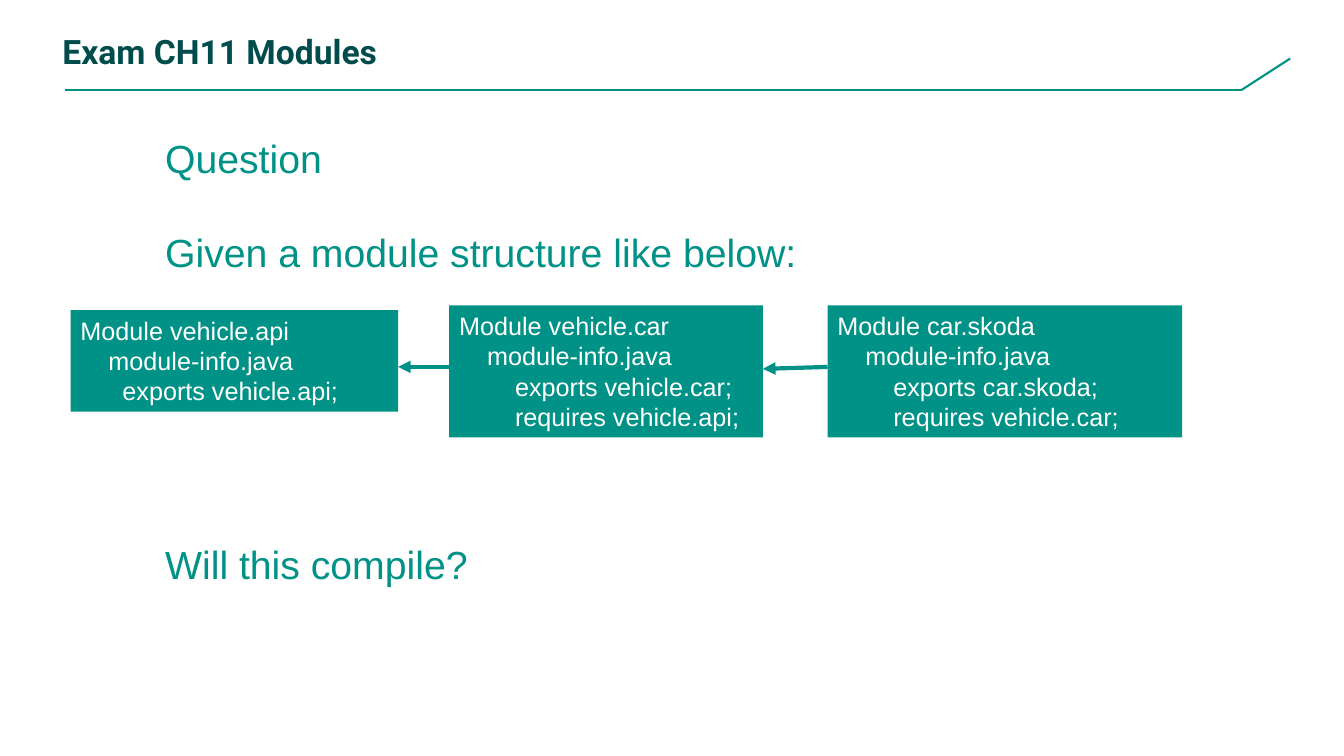
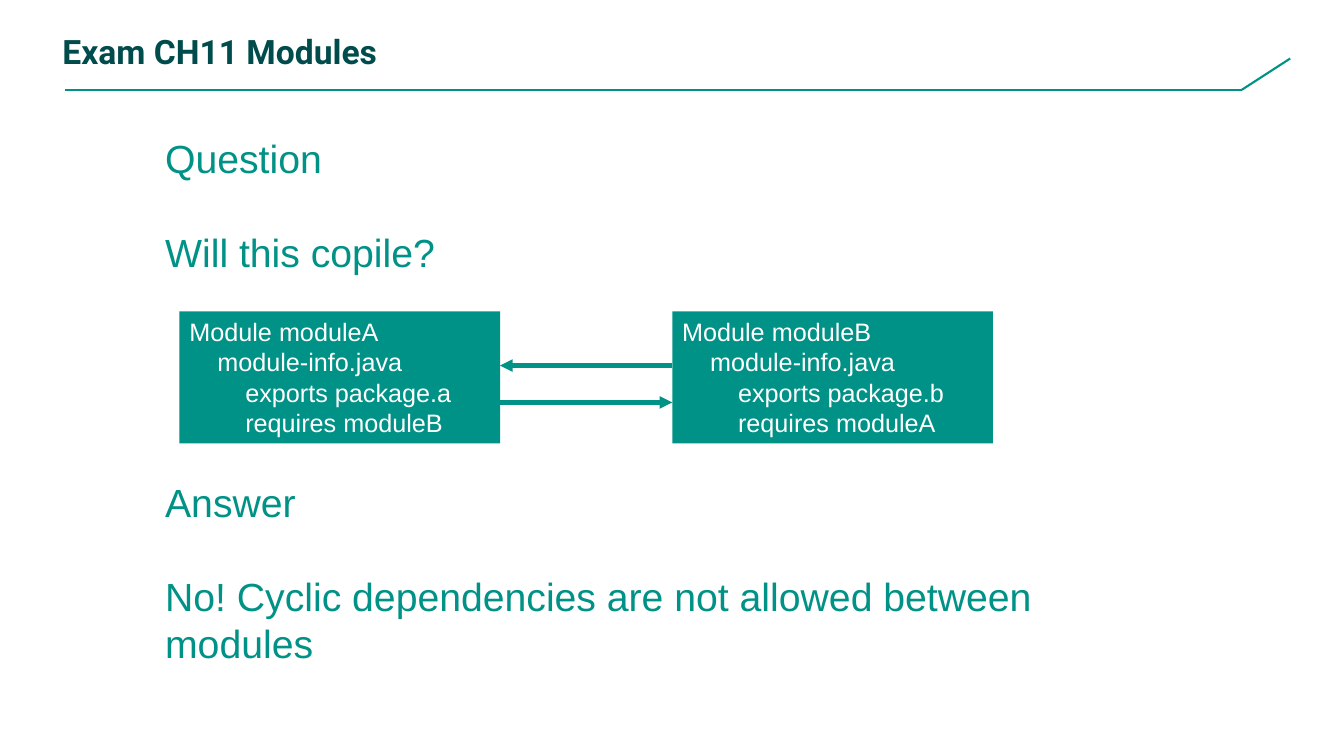
from dataclasses import dataclass
from lxml.etree import SubElement
from pptx import Presentation
from pptx.dml.color import RGBColor
from pptx.enum.shapes import MSO_CONNECTOR, MSO_SHAPE
from pptx.enum.text import MSO_ANCHOR, PP_ALIGN
from pptx.oxml.ns import qn
from pptx.util import Pt


@dataclass(frozen=True)
class Style:
    font: dict
    color: RGBColor
    pitch: float
    gap: float = 0


class Theme:
    teal = RGBColor.from_string("009286")
    dark = RGBColor.from_string("004C4C")
    white = RGBColor.from_string("FFFFFF")
    title = Style({"name": "Roboto", "size": Pt(24), "bold": True}, dark, 18.8)
    body = Style({"name": "Arial", "size": Pt(28), "bold": False}, teal, 33.6, 33.6)
    code = Style({"name": "Arial", "size": Pt(18), "bold": False}, white, 21.6)
    rule = 1.5
    arrow = 3
    pad = 7.2


def write(shape, lines, style, anchor=MSO_ANCHOR.TOP):
    frame = shape.text_frame
    frame.word_wrap = True
    frame.vertical_anchor = anchor
    for i, line in enumerate(lines):
        para = frame.paragraphs[0] if i == 0 else frame.add_paragraph()
        form = {
            "alignment": PP_ALIGN.LEFT,
            "line_spacing": Pt(style.pitch),
            "space_before": Pt(style.gap if i else 0),
        }
        for key, value in form.items():
            setattr(para, key, value)
        run = para.add_run()
        run.text = line
        for key, value in style.font.items():
            setattr(run.font, key, value)
        run.font.color.rgb = style.color


def add_text(slide, box, lines, style, anchor=MSO_ANCHOR.TOP):
    shape = slide.shapes.add_textbox(*map(Pt, box))
    write(shape, lines, style, anchor)


def add_line(slide, start, end, width, tip=False):
    line = slide.shapes.add_connector(
        MSO_CONNECTOR.STRAIGHT, *map(Pt, (*start, *end)))
    line.line.color.rgb = Theme.teal
    line.line.width = Pt(width)
    if tip:
        SubElement(line.line._get_or_add_ln(), qn("a:tailEnd"), type="triangle")
    SubElement(line._element.spPr, qn("a:effectLst"))


def add_head(slide, box, text):
    x, y, w, h = box
    add_text(slide, (x - 8.6, y, w, h), [text], Theme.title, MSO_ANCHOR.BOTTOM)
    base = y + 49
    points = [(x, base), (x + 841, base), (x + 875.5, base - 22.3)]
    for start, end in zip(points, points[1:]):
        add_line(slide, start, end, Theme.rule)


def add_node(slide, box, lines):
    x, y, w = box
    high = len(lines) * 21.75 + Theme.pad
    shape = slide.shapes.add_shape(MSO_SHAPE.RECTANGLE, *map(Pt, (x, y, w, high)))
    shape.shadow.inherit = False
    shape.fill.solid()
    shape.fill.fore_color.rgb = Theme.teal
    shape.line.fill.background()
    write(shape, lines, Theme.code)


def add_graph(slide, box, nodes, arrows):
    left, top = box
    for x, y, w, lines in nodes:
        add_node(slide, (left + x, top + y, w), lines)
    for x1, y1, x2, y2 in arrows:
        add_line(slide, (left + x1, top + y1), (left + x2, top + y2),
                 Theme.arrow, True)


def add_page(deck, texts, graph):
    slide = deck.slides.add_slide(deck.slide_layouts[6])
    add_head(slide, (46.1, 15.1, 900, 39.6), "Exam CH11 Modules")
    for y, h, lines in texts:
        add_text(slide, (110.9, y, 709.2, h), lines, Theme.body)
    add_graph(slide, *graph)


def code(name, *lines, dent=8):
    return [f"Module {name}", " " * 4 + "module-info.java",
            *(" " * dent + line for line in lines)]


def main():
    deck = Presentation()
    deck.slide_width, deck.slide_height = Pt(960), Pt(540)
    add_page(
        deck,
        [(92.2, 108.7, ["Question", "Given a module structure like below:"]),
         (382.3, 41, ["Will this compile?"])],
        ((50.4, 218.2),
         [(0, 3.4, 234, code("vehicle.api", "exports vehicle.api;", dent=6)),
          (270.5, 0, 224, code("vehicle.car", "exports vehicle.car;",
                               "requires vehicle.api;")),
          (540.7, 0, 253.4, code("car.skoda", "exports car.skoda;",
                                 "requires vehicle.car;"))],
         [(270.5, 43.9, 234, 43.9), (540.7, 43.9, 494.5, 45.3)]))
    wide, step = 229, 352
    pairs = [("A", "B"), ("B", "A")]
    add_page(
        deck,
        [(92.2, 108.7, ["Question", "Will this copile?"]),
         (338.4, 143.3, ["Answer", "No! Cyclic dependencies are not allowed "
                         "between modules"])],
        ((128.2, 222.5),
         [(i * step, 0, wide, code(f"module{own}", f"exports package.{own.lower()}",
                                   f"requires module{other}"))
          for i, (own, other) in enumerate(pairs)],
         [(step, 38.6, wide, 38.6), (wide, 65, step, 65)]))
    deck.save("out.pptx")


if __name__ == "__main__":
    main()
